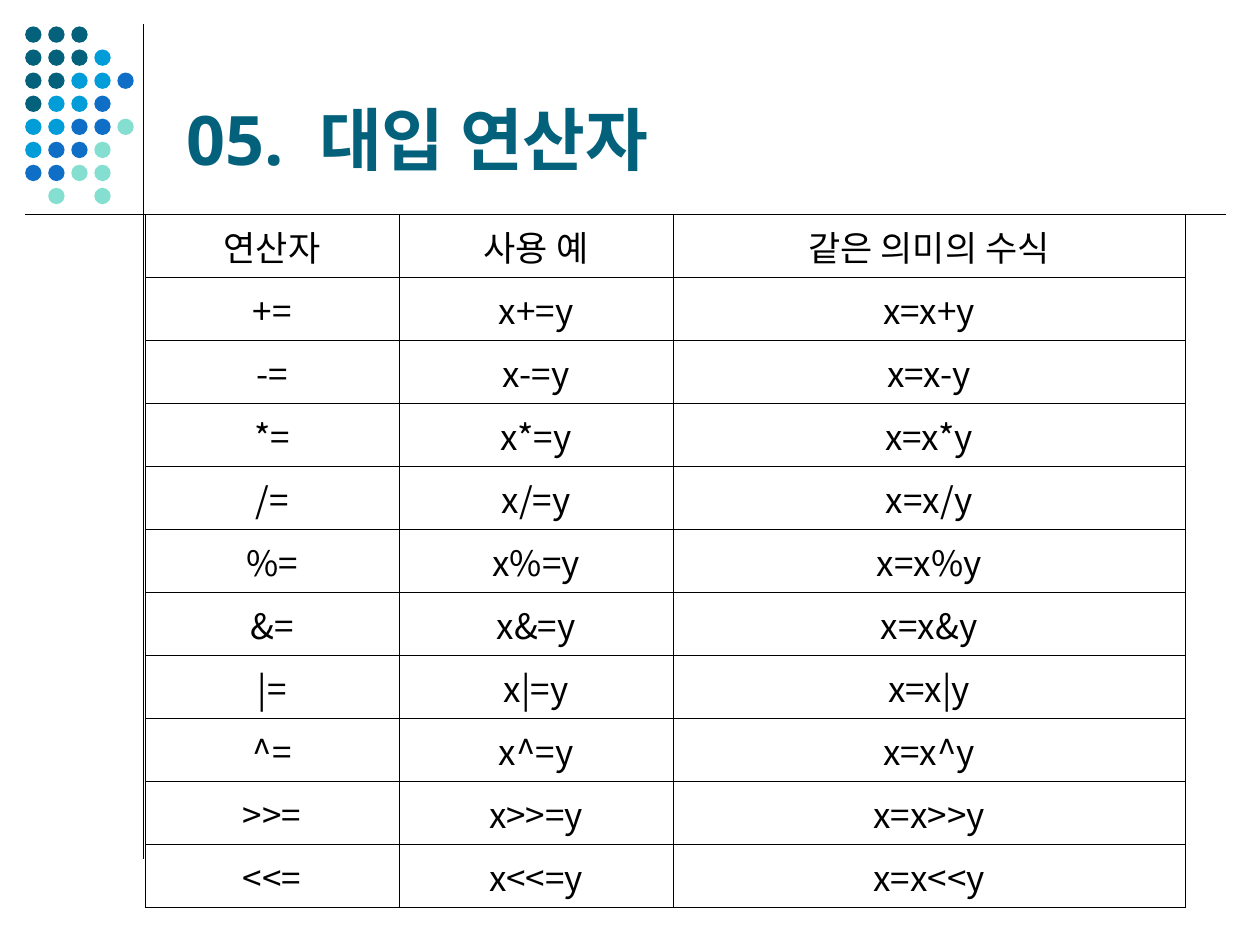
from dataclasses import dataclass

from lxml.etree import SubElement
from pptx import Presentation
from pptx.dml.color import RGBColor as RGB
from pptx.enum.shapes import MSO_CONNECTOR as CONN, MSO_SHAPE as SHAPE
from pptx.enum.text import MSO_ANCHOR as ANCHOR, PP_ALIGN as ALIGN
from pptx.oxml.ns import qn
from pptx.util import Inches, Pt


@dataclass(frozen=True)
class Theme:
    ink: str = "000000"
    title: str = "04617B"
    latin: str = "Noto Sans"
    korean: str = "Noto Sans CJK KR"
    title_pt: float = 39
    cell_pt: float = 20
    rule_pt: float = 0.75
    border_pt: float = 0.06


THEME = Theme()
DOT_COLOURS = {"T": "04617B", "C": "009DD9", "B": "0F6FC6", "M": "85DFD0"}
# One letter per dot, a point for an empty place
DOT_ROWS = ["TTT..", "TTTC.", "TTCCB", "TCCB.", "CCBBM", "CBBM.", "BBMM.", ".M.M."]
HEADER = ["연산자", "사용 예", "같은 의미의 수식"]
OPERATORS = ["+", "-", "*", "/", "%", "&", "|", "^", ">>", "<<"]
COLUMN_WIDTHS = [2.02, 2.17, 4.07]


def style_run(r, size, latin, colour, bold=False):
    r.font.size, r.font.name, r.font.bold = Pt(size), latin, bold
    r.font.color.rgb = RGB.from_string(colour)
    SubElement(r.font._element, qn("a:ea"), typeface=THEME.korean)


def add_rule(s, x1, y1, x2, y2):
    line = s.shapes.add_connector(
        CONN.STRAIGHT, Inches(x1), Inches(y1), Inches(x2), Inches(y2))
    line.line.color.rgb = RGB.from_string(THEME.ink)
    line.line.width = Pt(THEME.rule_pt)
    SubElement(line._element.spPr, qn("a:effectLst"))


def add_dots(s, left, top, pitch, size):
    for row, letters in enumerate(DOT_ROWS):
        for col, letter in enumerate(letters):
            if letter not in DOT_COLOURS:
                continue
            dot = s.shapes.add_shape(
                SHAPE.OVAL, Inches(left + col * pitch), Inches(top + row * pitch),
                Inches(size), Inches(size))
            dot.shadow.inherit = False
            dot.fill.solid()
            dot.fill.fore_color.rgb = RGB.from_string(DOT_COLOURS[letter])
            dot.line.fill.background()


def add_title(s, left, top, width, height):
    box = s.shapes.add_textbox(Inches(left), Inches(top), Inches(width), Inches(height))
    tf = box.text_frame
    tf.word_wrap = True
    tf.vertical_anchor = ANCHOR.BOTTOM
    p = tf.paragraphs[0]
    for text in ("05.", " ", "대입 연산자"):
        r = p.add_run()
        r.text = text
        style_run(r, THEME.title_pt, THEME.latin, THEME.title, bold=True)
    # Widen the gap after the number
    p.runs[1].font._element.set("spc", "1000")


def set_borders(cell):
    tcPr = cell._tc.get_or_add_tcPr()
    for side in ("lnL", "lnR", "lnT", "lnB"):
        ln = SubElement(tcPr, qn(f"a:{side}"), w=str(Pt(THEME.border_pt)))
        fill = SubElement(ln, qn("a:solidFill"))
        SubElement(fill, qn("a:srgbClr"), val=THEME.ink)


def add_operator_table(s, left, top, row_height):
    rows = [HEADER] + [[f"{op}=", f"x{op}=y", f"x=x{op}y"] for op in OPERATORS]
    table = s.shapes.add_table(
        len(rows), len(HEADER), Inches(left), Inches(top),
        Inches(sum(COLUMN_WIDTHS)), Inches(row_height * len(rows))).table
    table.first_row = table.horz_banding = False
    for column, width in zip(table.columns, COLUMN_WIDTHS):
        column.width = Inches(width)
    for i, texts in enumerate(rows):
        for j, text in enumerate(texts):
            cell = table.cell(i, j)
            cell.vertical_anchor = ANCHOR.MIDDLE
            set_borders(cell)
            cell.fill.background()
            p = cell.text_frame.paragraphs[0]
            p.text = text
            p.alignment = ALIGN.CENTER
            style_run(p.runs[0], THEME.cell_pt, THEME.korean, THEME.ink)


def main():
    prs = Presentation()
    prs.slide_width, prs.slide_height = Inches(10), Inches(7.5)
    s = prs.slides.add_slide(prs.slide_layouts[6])

    # Frame: crossing rules and the dot pattern
    add_rule(s, 1.14, 0.19, 1.14, 6.82)
    add_dots(s, 0.2, 0.21, pitch=0.183, size=0.13)
    add_rule(s, 0.2, 1.7, 9.73, 1.7)

    # Content
    add_title(s, 1.38, 0.21, 8.25, 1.26)
    add_operator_table(s, 1.15, 1.7, row_height=0.5)

    prs.save("out.pptx")


if __name__ == "__main__":
    main()
